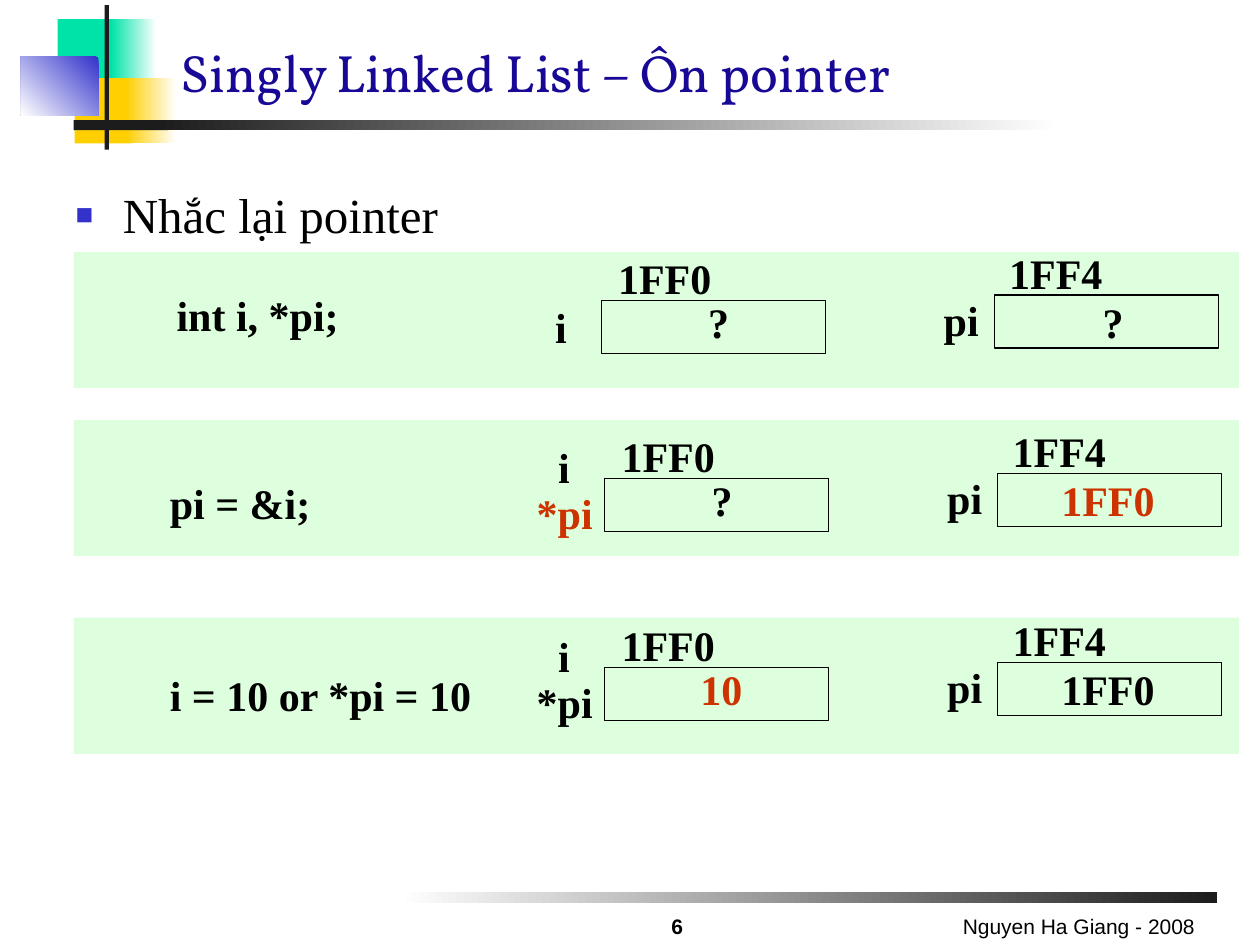
import pptx
import pptx.util
import pptx.dml.color
import pptx.enum.shapes
import pptx.enum.text
import pptx.oxml
import pptx.oxml.ns
from lxml import etree

Pt = pptx.util.Pt
Align = pptx.enum.text.PP_ALIGN
Anchor = pptx.enum.text.MSO_ANCHOR
Fit = pptx.enum.text.MSO_AUTO_SIZE

THEME = {
    "serif": "Times New Roman", "sans": "Arial", "head": "Vollkorn",
    "ink": "000000", "dark": "1C1C1C", "white": "FFFFFF", "title": "170995",
    "blue": "3333CC", "teal": "00E3A8", "gold": "FFCF01",
    "red": "CC3300", "band": "CCFFCC",
    "big": 30, "list": 28, "code": 24, "foot": 12,
}

# Content
TITLE = "Singly Linked List – Ôn pointer"
POINT = "Nhắc lại pointer"
FOOT = "Nguyen Ha Giang - 2008"
PAGE = "6"

# Each step: band top, memory origin, code, and labels placed from the origin
# A label is text, x, y, width and colour
ROWS = [
    {"band": 144, "at": (343.6, 171.8), "code": ("int i, *pi;", 93.8, 162, 110),
     "tags": [("i", -33.5, -3.2, 23, "ink"), ("?", 54, -6, 28, "ink"),
              ("?", 279.4, -6, 28, "ink")]},
    {"band": 240, "at": (345.6, 273.6), "code": ("pi = &i;", 90, 269.5, 98),
     "tags": [("i", -33.7, -25, 23, "ink"), ("*pi", -46, 1.6, 50, "red"),
              ("?", 54, -6, 28, "ink"), ("1FF0", 253.8, -6, 72, "red")]},
    {"band": 353, "at": (345.6, 381.6), "code": ("i = 10 or *pi = 10", 90, 378.8, 191),
     "tags": [("i", -33.7, -25, 23, "ink"), ("*pi", -46, 1.6, 50, "ink"),
              ("10", 47.5, -6, 42, "red"), ("1FF0", 253.8, -6, 72, "ink")]},
]
# Labels and cells found in every step
SHARED = [("1FF0", 2.5, -31, 72, "ink"), ("pi", 188.6, -7.2, 39, "ink"),
          ("1FF4", 226, -33.7, 72, "ink")]
CELLS = [(0, 0), (224.6, -3.2)]
CELL = (128, 30.3)

# Ornaments: left, top, width, height, colours, gradient angle
DECOR = [
    (228, 509.8, 467.6, 6, ("dark", "white"), 180),
    (33, 11, 34.5, 37.5, ("teal",), 0),
    (63.4, 11, 26, 37.5, ("white", "teal"), 180),
    (42.6, 44.6, 33, 37.4, ("gold",), 0),
    (72, 44.6, 28.6, 37.4, ("white", "gold"), 180),
    (12, 32.6, 44.2, 33.4, ("blue", "white"), 225),
    (59.8, 2.9, 2.4, 82.6, ("dark",), 0),
    (42, 68.6, 54, 5.8, ("dark",), 0),
    (90, 68.6, 515.5, 5.8, ("white", "dark"), 180),
]


def tint(name):
    return pptx.dml.color.RGBColor.from_string(THEME[name])


def rect(x, y, w, h):
    box = slide.shapes.add_shape(pptx.enum.shapes.MSO_SHAPE.RECTANGLE,
                                 Pt(x), Pt(y), Pt(w), Pt(h))
    box.shadow.inherit = False
    box.line.fill.background()
    return box


def paint(box, names, angle=0):
    if len(names) == 1:
        box.fill.solid()
        box.fill.fore_color.rgb = tint(names[0])
        return
    box.fill.gradient()
    box.fill.gradient_angle = angle
    for stop, name in zip(box.fill.gradient_stops, names):
        stop.color.rgb = tint(name)


def write(frame, text, face, size, color, bold=False, align=Align.LEFT):
    para = frame.paragraphs[0]
    para.alignment = align
    run = para.add_run()
    run.text = text
    font = run.font
    font.name, font.size, font.bold = THEME[face], Pt(THEME[size]), bold
    font.color.rgb = tint(color)
    return para


def label(text, x, y, w, color):
    frame = slide.shapes.add_textbox(Pt(x), Pt(y), Pt(w), Pt(36)).text_frame
    frame.word_wrap = False
    frame.auto_size = Fit.NONE
    write(frame, text, "serif", "code", color, True)


def note(text, x, y, w, h, align, bold=False):
    frame = slide.shapes.add_textbox(Pt(x), Pt(y), Pt(w), Pt(h)).text_frame
    frame.word_wrap = True
    frame.vertical_anchor = Anchor.BOTTOM
    write(frame, text, "sans", "foot", "ink", bold, align)


def place(box, x, y, w, h, anchor):
    box.left, box.top, box.width, box.height = Pt(x), Pt(y), Pt(w), Pt(h)
    frame = box.text_frame
    frame.auto_size = Fit.NONE
    frame.vertical_anchor = anchor
    box.element.getparent().append(box.element)  # bring above the bands
    return frame


def bullet(para):
    props = para._p.get_or_add_pPr()
    props.set("marL", str(Pt(27)))
    props.set("indent", str(-Pt(27)))
    qn = pptx.oxml.ns.qn
    color = etree.SubElement(props, qn("a:buClr"))
    etree.SubElement(color, qn("a:srgbClr"), val=THEME["blue"])
    etree.SubElement(props, qn("a:buSzPct"), val="60000")
    etree.SubElement(props, qn("a:buFont"), typeface=THEME["sans"])
    etree.SubElement(props, qn("a:buChar"), char="■")


deck = pptx.Presentation()
deck.slide_width, deck.slide_height = Pt(720), Pt(540)
slide = deck.slides.add_slide(deck.slide_layouts[1])

# Ornaments
for x, y, w, h, names, angle in DECOR:
    paint(rect(x, y, w, h), names, angle)

# Pale bands, part transparent
for row in ROWS:
    band = rect(42, row["band"], 666, 77.8)
    paint(band, ("band",))
    shade = band.element.spPr.find(".//" + pptx.oxml.ns.qn("a:srgbClr"))
    etree.SubElement(shade, pptx.oxml.ns.qn("a:alpha"), val="65000")

# Title and list
frame = place(slide.shapes.title, 96, 14.4, 612, 48, Anchor.BOTTOM)
write(frame, TITLE, "head", "big", "title")
frame = place(slide.placeholders[1], 36, 102, 669, 402, Anchor.TOP)
para = write(frame, POINT, "serif", "list", "ink")
para.space_before = Pt(0)
bullet(para)

# Code and memory of each step
for row in ROWS:
    left, top = row["at"]
    label(*row["code"], "ink")
    for dx, dy in CELLS:
        cell = rect(left + dx, top + dy, *CELL)
        cell.fill.background()
        cell.line.color.rgb = tint("ink")
        cell.line.width = Pt(0.75)
    for text, dx, dy, w, color in SHARED + row["tags"]:
        label(text, left + dx, top + dy, w, color)

# Footer
note(FOOT, 462, 516, 228, 24, Align.RIGHT)
note(PAGE, 354, 520.5, 66, 19.5, Align.CENTER, True)

deck.save("out.pptx")
